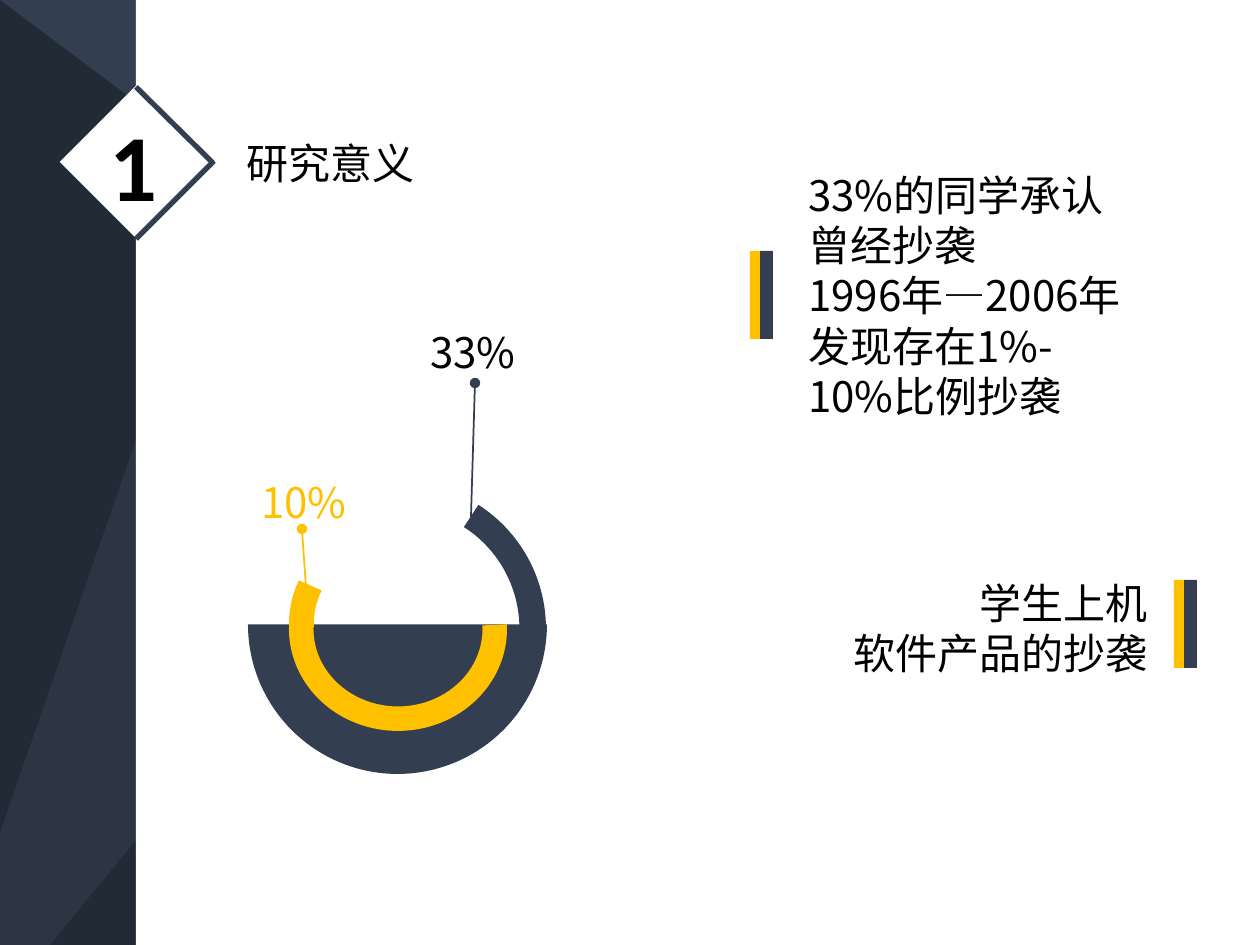
import pptx
import pptx.dml.color
import pptx.enum.shapes
import pptx.enum.text
import pptx.oxml.ns
import pptx.util
from lxml import etree

SHAPE = pptx.enum.shapes.MSO_SHAPE
ALIGN = pptx.enum.text.PP_ALIGN
RGB = pptx.dml.color.RGBColor
NAVY = RGB(0x33, 0x3F, 0x50)
DARK = RGB(0x22, 0x2A, 0x35)
MID = RGB(0x2B, 0x35, 0x43)
GOLD = RGB(0xFF, 0xC0, 0x00)
WHITE = RGB(0xFF, 0xFF, 0xFF)
BLACK = RGB(0x00, 0x00, 0x00)

SCALE = 914400 / 126  # EMU per px
BODY = {"name": "Noto Sans CJK SC", "size": pptx.util.Pt(24)}
NUMERAL = {"name": "Calibri", "size": pptx.util.Pt(54), "bold": True}


def px(*lengths):
    return [pptx.util.Emu(round(length * SCALE)) for length in lengths]


def sub(parent, tag, **attributes):
    return etree.SubElement(parent, pptx.oxml.ns.qn(tag), attributes)


def paint(part, color):
    part.shadow.inherit = False
    part.fill.solid()
    part.fill.fore_color.rgb = color
    part.line.fill.background()


def add_solid(slide, kind, box, color, adjustments=(), rotation=0):
    part = slide.shapes.add_shape(kind, *px(*box))
    paint(part, color)
    part.rotation = rotation
    for index, value in enumerate(adjustments):
        part.adjustments[index] = value


def add_facet(slide, points, color):
    corners = [px(*point) for point in points]
    builder = slide.shapes.build_freeform(*corners[0])
    builder.add_line_segments(corners[1:])
    paint(builder.convert_to_shape(), color)


def add_rule(slide, start, end, color, width, dot=False):
    rule = slide.shapes.add_connector(
        pptx.enum.shapes.MSO_CONNECTOR.STRAIGHT, *px(*start, *end))
    rule.line.color.rgb = color
    rule.line.width = pptx.util.Pt(width)
    if dot:
        sub(rule.line._get_or_add_ln(), "a:tailEnd", type="oval")
    sub(rule._element.spPr, "a:effectLst")


def add_text(slide, box, lines, color=BLACK, style=BODY,
             align=ALIGN.LEFT, wrap=True):
    frame = slide.shapes.add_textbox(*px(*box)).text_frame
    frame.word_wrap = wrap
    frame.text = "\n".join(lines)
    for paragraph in frame.paragraphs:
        paragraph.alignment = align
        for run in paragraph.runs:
            for key, value in style.items():
                setattr(run.font, key, value)
            run.font.color.rgb = color
            sub(run._r.get_or_add_rPr(), "a:ea", typeface=style["name"])


def side_band(slide, left, top, width, height):
    """Faceted band on the left and the white page beside it."""
    right, bottom = left + width, top + height
    slide.background.fill.solid()
    slide.background.fill.fore_color.rgb = NAVY
    add_facet(slide, [(left, top), (right, top + 102), (right, bottom),
                      (left, bottom)], DARK)
    add_facet(slide, [(right, top + 440), (right, top + 840),
                      (left + 50, bottom), (left, bottom),
                      (left, top + 833)], MID)
    add_solid(slide, SHAPE.RECTANGLE, (right, top, 1260 - right, height), WHITE)


def heading(slide, left, top, width, height):
    """Numbered diamond with its edge lines, and the title."""
    middle = left + height // 2
    side = 108
    inset = (height - side) // 2
    add_solid(slide, SHAPE.RECTANGLE, (left + inset, top + inset, side, side),
              WHITE, rotation=45)
    add_rule(slide, (middle, top + 1), (left + 153, top + 77), NAVY, 3)
    add_rule(slide, (left + 154, top + 75), (middle, top + 153), NAVY, 3)
    add_text(slide, (left + 37, top + 15, 71, 128), ["1"], style=NUMERAL,
             align=ALIGN.CENTER, wrap=False)
    add_text(slide, (left + 174, top + 45, width - 174, 63), ["研究意义"])


def arc_angles(start, end):
    """Degrees as shape adjustments: 60000 units a degree, over 100000."""
    return [start * 0.6, end * 0.6]


def ring_figure(slide, left, top, width, height):
    """Half disc with two rings, each led to its percentage."""
    add_solid(slide, SHAPE.PIE, (left, top + 155, width, width), NAVY,
              arc_angles(0, 180))
    add_rule(slide, (left + 223, top + 197), (left + 227, top + 63),
             NAVY, 1, dot=True)
    add_solid(slide, SHAPE.BLOCK_ARC, (left + 1, top + 161, width - 2, 295),
              NAVY, arc_angles(303.2, 0) + [0.09])
    add_rule(slide, (left + 58, top + 267), (left + 54, top + 209),
             GOLD, 1, dot=True)
    add_text(slide, (left + 170, top, 115, 63), ["33%"])
    add_text(slide, (left + 1, top + 150, 115, 63), ["10%"], GOLD)
    # Gold ring: lower half, then the short piece on the left
    add_solid(slide, SHAPE.BLOCK_ARC, (left + 41, top + 207, 218, 204), GOLD,
              arc_angles(357.6, 182.7) + [0.12])
    add_solid(slide, SHAPE.BLOCK_ARC, (left + 41, top + 200, 218, 207), GOLD,
              arc_angles(177.3, 203.5) + [0.12])


def two_tone_bar(slide, left, top, width, height):
    gold_width = 10
    add_solid(slide, SHAPE.RECTANGLE,
              (left + gold_width, top, width - gold_width, height), NAVY)
    add_solid(slide, SHAPE.RECTANGLE, (left, top, gold_width, height), GOLD)


def main():
    deck = pptx.Presentation()
    deck.slide_width, deck.slide_height = px(1260, 945)
    slide = deck.slides.add_slide(deck.slide_layouts[6])

    side_band(slide, 0, 0, 136, 945)
    heading(slide, 60, 86, 568, 152)
    ring_figure(slide, 248, 320, 299, 454)

    # Findings
    two_tone_bar(slide, 750, 251, 23, 88)
    add_text(slide, (796, 163, 344, 267),
             ["33%的同学承认曾经抄袭", "1996年—2006年发现存在1%-10%比例抄袭"])
    two_tone_bar(slide, 1174, 580, 23, 88)
    add_text(slide, (796, 571, 364, 115), ["学生上机", "软件产品的抄袭"],
             align=ALIGN.RIGHT)

    deck.save("out.pptx")


if __name__ == "__main__":
    main()
